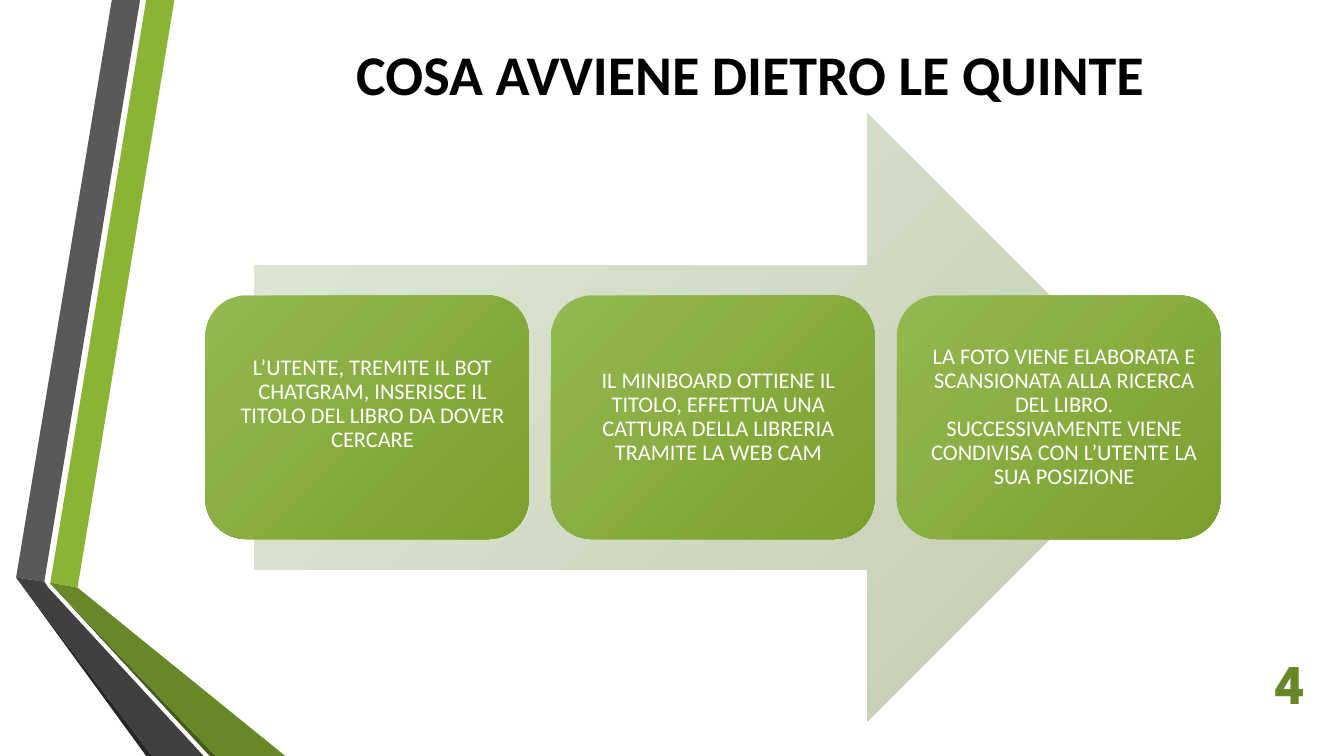
from pptx import Presentation
from pptx.dml.color import RGBColor
from pptx.enum.shapes import MSO_SHAPE
from pptx.enum.text import MSO_ANCHOR, PP_ALIGN
from pptx.util import Inches, Pt

COLORS = {
    "black": "000000",
    "white": "FFFFFF",
    "lime": "8BB434",
    "olive": "688727",
    "moss": "455A1A",
    "grey": "595959",
    "dark_grey": "404040",
    "charcoal": "262626",
    "arrow_light": "DFE8D5",
    "arrow_dark": "C2CDB2",
    "step_light": "94B851",
    "step_dark": "7BA02E",
}

RIBBONS = [
    ("lime", [(0.34, 5.78), (0.61, 5.83), (1.57, 0), (1.29, 0)]),
    ("grey", [(1.23, 0), (0.95, 0), (0, 5.73), (0.28, 5.77)]),
    ("charcoal", [(0, 5.73), (1.29, 7.5), (1.35, 7.5)]),
    ("moss", [(0.34, 5.79), (1.92, 7.5), (1.98, 7.5)]),
    ("olive", [(0.34, 5.79), (1.98, 7.5), (2.67, 7.5), (0.61, 5.83), (0.34, 5.78)]),
    ("dark_grey", [(1.86, 7.5), (0.32, 5.83), (0.28, 5.77), (0, 5.73), (1.35, 7.5)]),
]

STEPS = [
    ("L’UTENTE, TREMITE IL BOT CHATGRAM, INSERISCE IL TITOLO DEL LIBRO DA DOVER CERCARE", 0.44),
    ("IL MINIBOARD OTTIENE IL TITOLO, EFFETTUA UNA CATTURA DELLA LIBRERIA TRAMITE LA WEB CAM", 0.18),
    ("LA FOTO VIENE ELABORATA E SCANSIONATA ALLA RICERCA DEL LIBRO. SUCCESSIVAMENTE VIENE "
     "CONDIVISA CON L’UTENTE LA SUA POSIZIONE", 0.18),
]


def color(name):
    return RGBColor.from_string(COLORS[name])


def add_run(p, text, size, font, name, bold=False):
    r = p.add_run()
    r.text = text
    r.font.size = Pt(size)
    r.font.name = font
    r.font.bold = bold
    r.font.color.rgb = color(name)


def add_gradient_shape(s, kind, box, adjustments, light, dark):
    sp = s.shapes.add_shape(kind, *map(Inches, box))
    for i, value in enumerate(adjustments):
        sp.adjustments[i] = value
    sp.shadow.inherit = False
    sp.line.fill.background()
    sp.fill.gradient()
    sp.fill.gradient_angle = 315
    for stop, name in zip(sp.fill.gradient_stops, (light, dark)):
        stop.color.rgb = color(name)
    return sp


def add_ribbons(s, left, top):
    for name, points in RIBBONS:
        corners = [(Inches(left + x), Inches(top + y)) for x, y in points]
        builder = s.shapes.build_freeform(*corners[0], scale=1.0)
        builder.add_line_segments(corners[1:], close=True)
        sp = builder.convert_to_shape()
        sp.shadow.inherit = False
        sp.line.fill.background()
        sp.fill.solid()
        sp.fill.fore_color.rgb = color(name)


def add_step(s, box, text, bottom_inset):
    sp = add_gradient_shape(s, MSO_SHAPE.ROUNDED_RECTANGLE, box, [0.167],
                            "step_light", "step_dark")
    tf = sp.text_frame
    tf.word_wrap = True
    tf.vertical_anchor = MSO_ANCHOR.MIDDLE
    tf.margin_left = tf.margin_top = Inches(0.18)
    tf.margin_right = Inches(0.07)
    tf.margin_bottom = Inches(bottom_inset)
    p = tf.paragraphs[0]
    p.alignment = PP_ALIGN.CENTER
    p.line_spacing = 0.9
    p.space_after = Pt(5.6)
    add_run(p, text, 16, "Calibri", "white")


def add_process(s, left, top, width, height):
    arrow_width = 9.1
    arrow_left = left + (width - arrow_width) / 2
    add_gradient_shape(s, MSO_SHAPE.RIGHT_ARROW, (arrow_left, top, arrow_width, height),
                       [0.5, 0.5], "arrow_light", "arrow_dark")
    step_width, step_height = 3.21, height * 0.4
    pitch = 3.43
    first = left + (width - pitch * (len(STEPS) - 1) - step_width) / 2
    step_top = top + (height - step_height) / 2
    for i, (text, bottom_inset) in enumerate(STEPS):
        add_step(s, (first + i * pitch, step_top, step_width, step_height), text, bottom_inset)


def add_label(s, box, text, font, name, align, anchor):
    tf = s.shapes.add_textbox(*map(Inches, box)).text_frame
    tf.word_wrap = True
    tf.vertical_anchor = anchor
    p = tf.paragraphs[0]
    p.alignment = align
    add_run(p, text, 40, font, name, bold=True)


def main():
    prs = Presentation()
    prs.slide_width = Inches(13.33)
    prs.slide_height = Inches(7.5)
    s = prs.slides.add_slide(prs.slide_layouts[6])
    add_ribbons(s, 0.16, 0)
    add_process(s, 1.72, 1.12, 10.7, 6.04)
    add_label(s, (12.44, 6.57, 0.6, 0.4), "4", "League Spartan", "olive",
              PP_ALIGN.RIGHT, MSO_ANCHOR.MIDDLE)
    add_label(s, (1.73, 0.34, 11.42, 0.77), "COSA AVVIENE DIETRO LE QUINTE", "Calibri", "black",
              PP_ALIGN.CENTER, MSO_ANCHOR.TOP)
    prs.save("out.pptx")


if __name__ == "__main__":
    main()
